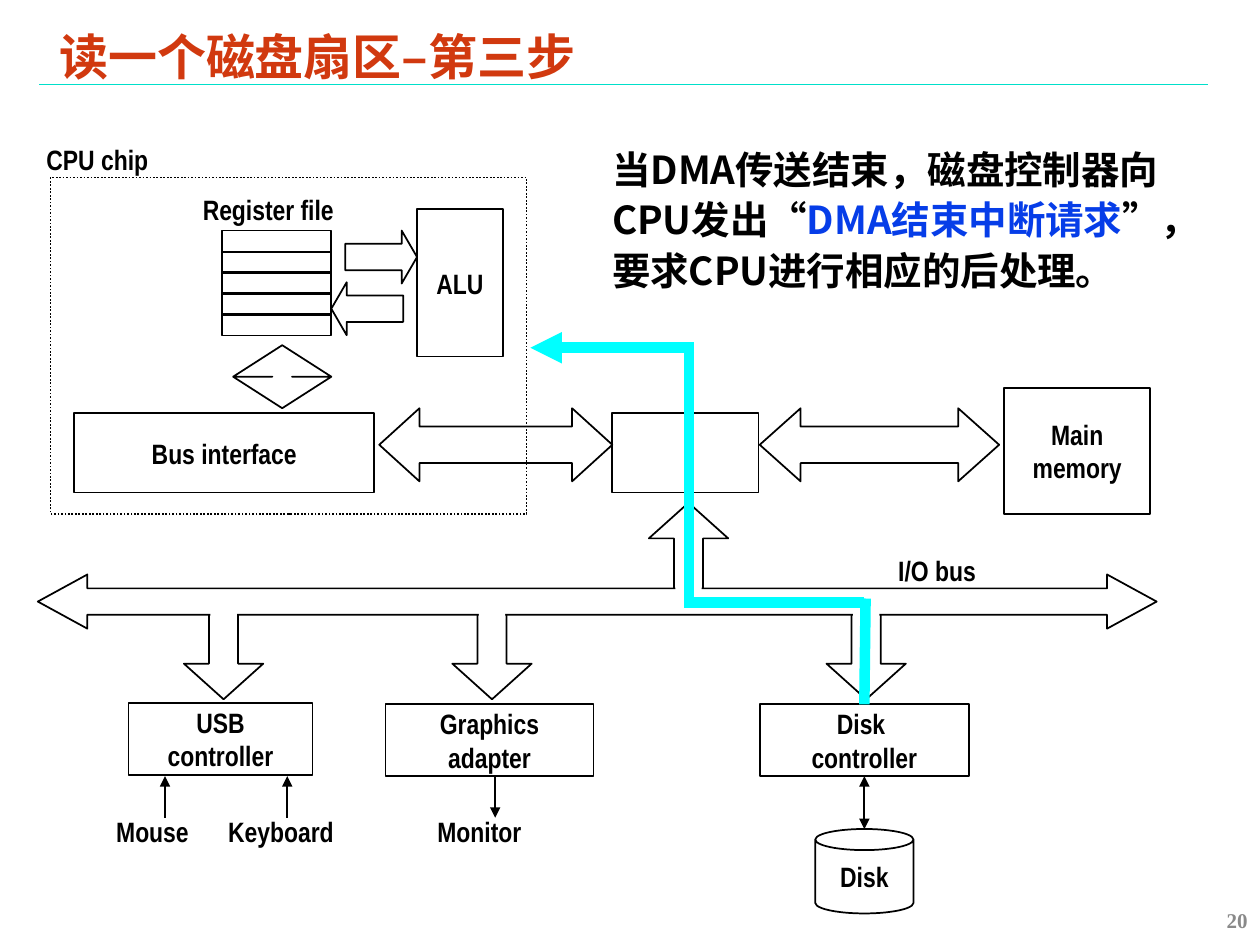
from lxml import etree
from pptx import Presentation
from pptx.dml.color import RGBColor
from pptx.enum.dml import MSO_LINE
from pptx.enum.shapes import MSO_CONNECTOR, MSO_SHAPE
from pptx.enum.text import MSO_ANCHOR, MSO_AUTO_SIZE, PP_ALIGN
from pptx.oxml.ns import qn
from pptx.util import Inches, Pt

STRAIGHT = MSO_CONNECTOR.STRAIGHT
RECTANGLE, CAN = MSO_SHAPE.RECTANGLE, MSO_SHAPE.CAN
ARROW_LEFT, ARROW_RIGHT = MSO_SHAPE.LEFT_ARROW, MSO_SHAPE.RIGHT_ARROW
ARROW_UP, ARROW_DOWN = MSO_SHAPE.UP_ARROW, MSO_SHAPE.DOWN_ARROW
ARROW_WIDE, ARROW_TALL = MSO_SHAPE.LEFT_RIGHT_ARROW, MSO_SHAPE.UP_DOWN_ARROW
LEFT, CENTER, RIGHT = PP_ALIGN.LEFT, PP_ALIGN.CENTER, PP_ALIGN.RIGHT
TOP, MIDDLE = MSO_ANCHOR.TOP, MSO_ANCHOR.MIDDLE
DOTTED = MSO_LINE.ROUND_DOT
NO_FIT = MSO_AUTO_SIZE.NONE

BLACK, WHITE, CYAN, BLUE = "000000", "FFFFFF", "00FFFF", "063DE8"
LABEL = {"name": "Arial Narrow", "size": Pt(16), "bold": True}
CHINESE = {"name": "Noto Sans CJK SC", "bold": True}
BRANCH = (0.367, 0.449)  # proportions of the arrows joining the I/O bus


def color(value):
    return RGBColor.from_string(value)


def place(box, left, top, *size):
    """Position inside a region, followed by the size, as lengths."""
    return [Inches(value) for value in (box[0] + left, box[1] + top, *size)]


def add_span(para, text, style, hue=BLACK):
    span = para.add_run()
    span.text = text
    for name, value in style.items():
        setattr(span.font, name, value)
    span.font.color.rgb = color(hue)
    if style["name"] == CHINESE["name"]:
        east_asian = etree.SubElement(span._r.get_or_add_rPr(), qn("a:ea"))
        east_asian.set("typeface", style["name"])


def format_frame(frame, anchor=MIDDLE, wrap=False):
    layout = {"auto_size": NO_FIT, "word_wrap": wrap, "vertical_anchor": anchor}
    for name, value in layout.items():
        setattr(frame, name, value)


def write_lines(frame, lines, align=CENTER):
    format_frame(frame)
    for index, line in enumerate(lines):
        para = frame.add_paragraph() if index else frame.paragraphs[0]
        para.alignment = align
        add_span(para, line, LABEL)


def add_label(page, position, text, align=CENTER):
    write_lines(page.shapes.add_textbox(*position).text_frame, [text], align)


def add_outline(page, kind, position, lines=(), adjust=(), fill=None, line=BLACK):
    shape = page.shapes.add_shape(kind, *position)
    shape.shadow.inherit = False
    for index, value in enumerate(adjust):
        shape.adjustments[index] = value
    if fill:
        shape.fill.solid()
        shape.fill.fore_color.rgb = color(fill)
    else:
        shape.fill.background()
    if line:
        shape.line.color.rgb = color(line)
        shape.line.width = Pt(1)
    else:
        shape.line.fill.background()
    if lines:
        write_lines(shape.text_frame, lines)
    return shape


def add_line(page, start, end, hue=BLACK, width=1, ends=()):
    line = page.shapes.add_connector(STRAIGHT, *start, *end)
    line.line.color.rgb = color(hue)
    line.line.width = Pt(width)
    outline = line.line._get_or_add_ln()
    for tag in ends:  # headEnd comes before tailEnd
        etree.SubElement(outline, qn(f"a:{tag}")).set("type", "triangle")
    etree.SubElement(line._element.spPr, qn("a:effectLst"))
    return line


def add_title(page, box):
    add_line(page, place((0, 0), 0.31, 0.67), place((0, 0), 9.59, 0.67), "00DFCA")
    title = page.shapes.title
    title.left, title.top, title.width, title.height = place(box, 0, 0, 8.3, 0.62)
    format_frame(title.text_frame, wrap=True)
    para = title.text_frame.paragraphs[0]
    para.alignment, para.line_spacing = LEFT, 0.87
    add_span(para, "读一个磁盘扇区–第三步", {**CHINESE, "size": Pt(28)}, "D1390F")


def add_cpu(page, box):
    # Register file
    for row in range(5):
        add_outline(page, RECTANGLE, place(box, 1.36, 0.42 + row * 0.166, 0.87, 0.17))
    add_label(page, place(box, 1.11, 0.07, 1.24, 0.37), "Register file")
    # ALU and its links
    add_outline(page, ARROW_RIGHT, place(box, 2.34, 0.42, 0.57, 0.42), adjust=(0.5, 0.29))
    add_outline(page, ARROW_LEFT, place(box, 2.23, 0.83, 0.57, 0.42), adjust=(0.5, 0.29))
    add_outline(page, RECTANGLE, place(box, 2.91, 0.25, 0.68, 1.17), ["ALU"])
    # Bus interface
    add_outline(page, ARROW_TALL, place(box, 1.45, 1.33, 0.78, 0.5), adjust=(0.5, 0.2))
    add_outline(page, RECTANGLE, place(box, 0.19, 1.87, 2.38, 0.63), ["Bus interface"])
    # Chip border
    border = add_outline(page, RECTANGLE, place(box, 0, 0, 3.78, 2.67))
    border.line.dash_style = DOTTED
    add_label(page, place(box, -0.13, -0.33, 1.01, 0.37), "CPU chip", LEFT)


def add_memory(page, box):
    add_outline(page, ARROW_WIDE, place(box, 0, 0.16, 1.85, 0.58), adjust=(0.5, 0.55))
    add_outline(page, RECTANGLE, place(box, 1.85, 0.2, 1.16, 0.63))
    add_outline(page, ARROW_WIDE, place(box, 3.02, 0.16, 1.9, 0.58), adjust=(0.5, 0.56))
    add_outline(page, RECTANGLE, place(box, 4.96, 0, 1.16, 1), ["Main", "memory"])


def add_bus(page, box):
    branches = [1.16, 3.29, 6.26]
    add_outline(page, ARROW_UP, place(box, 4.85, -0.57, 0.63, 0.75), adjust=BRANCH)
    for left in branches:
        add_outline(page, ARROW_DOWN, place(box, left, 0.24, 0.63, 0.75), adjust=BRANCH)
    add_outline(page, ARROW_WIDE, place(box, 0, 0, 8.88, 0.43),
                adjust=(0.486, 0.915), fill=WHITE)
    # White patches open the bus towards its branches
    for left, top in [(left + 0.21, 0.18) for left in branches] + [(5.06, 0.1)]:
        add_outline(page, RECTANGLE, place(box, left, top, 0.21, 0.17),
                    fill=WHITE, line=None)
    add_label(page, place(box, 6.73, -0.22, 0.82, 0.37), "I/O bus", LEFT)


def add_devices(page, box):
    """Place the controllers with their devices; return the disk controller."""
    add_outline(page, RECTANGLE, place(box, 0, 0, 1.46, 0.57), ["USB", "controller"])
    add_outline(page, RECTANGLE, place(box, 2.04, 0.01, 1.65, 0.57), ["Graphics", "adapter"])
    controller = add_outline(page, RECTANGLE, place(box, 5.01, 0.01, 1.66, 0.57),
                             ["Disk ", "controller"])
    # Links to the peripherals
    for left, end in [(0.29, "headEnd"), (1.26, "headEnd"), (2.91, "tailEnd")]:
        add_line(page, place(box, left, 0.58), place(box, left, 0.91), ends=[end])
    for left, width, text in [(-0.2, 0.78, "Mouse"), (0.69, 1.04, "Keyboard"),
                              (2.35, 0.87, "Monitor")]:
        add_label(page, place(box, left, 0.83, width, 0.37), text)
    # Disk
    add_outline(page, CAN, place(box, 5.45, 1, 0.78, 0.67), ["Disk"], adjust=(0.25,))
    link = add_line(page, place(box, 5.84, 0.58), place(box, 5.84, 1),
                    ends=["headEnd", "tailEnd"])
    link.begin_connect(controller, 2)
    return controller


def add_interrupt_route(page, box, controller):
    segments = [((1.3, 0), (0, 0), ["tailEnd"]), ((1.26, -0.02), (1.26, 1.99), []),
                ((1.22, 2.02), (2.65, 2.02), []), ((2.66, 1.99), (2.65, 2.83), [])]
    for start, end, ends in segments:
        line = add_line(page, place(box, *start), place(box, *end), CYAN, 6, ends)
    line.end_connect(controller, 0)


def add_explanation(page, box):
    frame = page.shapes.add_textbox(*place(box, 0, 0, 4.91, 1.31)).text_frame
    format_frame(frame, TOP, True)
    para = frame.paragraphs[0]
    para.line_spacing = 1.1
    for text, hue in [("当DMA传送结束，磁盘控制器向CPU发出“", BLACK),
                      ("DMA结束中断请求", BLUE),
                      ("”，要求CPU进行相应的后处理。", BLACK)]:
        add_span(para, text, {**CHINESE, "size": Pt(22)}, hue)


def add_page_number(page, box):
    frame = page.shapes.add_textbox(*place(box, 0, 0, 2.25, 0.4)).text_frame
    format_frame(frame, wrap=True)
    para = frame.paragraphs[0]
    para.alignment = RIGHT
    add_span(para, "20", {"name": "Times New Roman", "size": Pt(12), "bold": True}, "898989")


def main():
    deck = Presentation()
    deck.slide_width, deck.slide_height = Inches(10), Inches(7.5)
    page = deck.slides.add_slide(deck.slide_layouts[5])
    add_title(page, (0.37, 0.17))
    add_memory(page, (3.01, 3.08))
    add_cpu(page, (0.4, 1.41))
    add_bus(page, (0.3, 4.56))
    controller = add_devices(page, (1.02, 5.58))
    add_interrupt_route(page, (4.21, 2.76), controller)
    add_explanation(page, (4.76, 1.07))
    add_page_number(page, (7.75, 7.1))
    deck.save("out.pptx")


if __name__ == "__main__":
    main()
